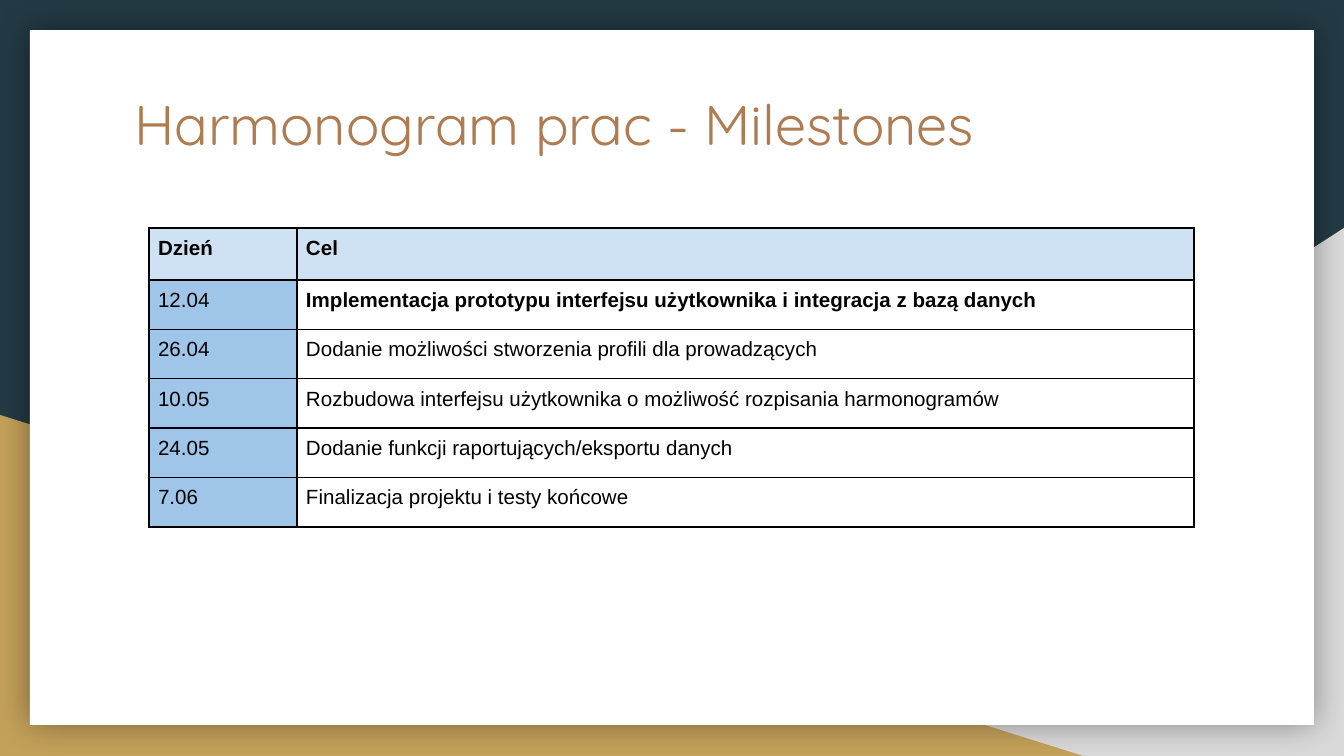
import pptx
import pptx.dml.color
import pptx.enum.shapes
import pptx.enum.text
import pptx.oxml
import pptx.oxml.ns
import pptx.util

# Content
TITLE = "Harmonogram prac - Milestones"
HEADER = ("Dzień", "Cel")
MILESTONES = [
    ("12.04", "Implementacja prototypu interfejsu użytkownika i integracja z bazą danych"),
    ("26.04", "Dodanie możliwości stworzenia profili dla prowadzących"),
    ("10.05", "Rozbudowa interfejsu użytkownika o możliwość rozpisania harmonogramów"),
    ("24.05", "Dodanie funkcji raportujących/eksportu danych"),
    ("7.06", "Finalizacja projektu i testy końcowe"),
]
BOLD_ROWS = {0, 1}

# Layout in px
SCALE = 914400 / 134.4
SLIDE = (1344, 756)
GREY_CORNER = (527, 228, 817, 528)
GOLD_CORNER = (0, 415, 1083, 341)
CARD = (30, 30, 1284, 695)
TITLE_BOX = (121, 77, 1103, 140)
TABLE_LEFT, TABLE_TOP = 149, 228
COLUMNS = (148, 897)
HEADER_HEIGHT, BODY_HEIGHT = 52, 247
TITLE_INSET, CELL_INSET = 13, 9

NAVY, GREY, GOLD, WHITE = "233A44", "D9D9D9", "C4A15A", "FFFFFF"
BROWN, BLACK, HEADER_BLUE, DAY_BLUE = "AF7B51", "000000", "CFE2F3", "9FC5E8"

NAMESPACE = pptx.oxml.ns.nsdecls("a")
SHADOW = (f'<a:outerShdw {NAMESPACE} blurRad="{pptx.util.Pt(18)}" dist="0">'
          f'<a:srgbClr val="{BLACK}"><a:alpha val="40000"/></a:srgbClr></a:outerShdw>')


def px(length):
    return round(length * SCALE)


def paint(fill, color):
    fill.solid()
    fill.fore_color.rgb = pptx.dml.color.RGBColor.from_string(color)


def write(frame, text, size, font, color, bold=False, inset=0):
    frame.word_wrap = True
    frame.margin_left = frame.margin_right = px(inset)
    frame.margin_top = frame.margin_bottom = px(inset)
    span = frame.paragraphs[0].add_run()
    span.text = text
    span.font.size = pptx.util.Pt(size)
    span.font.name = font
    span.font.bold = bold
    paint(span.font.fill, color)


def add_plain_shape(slide, kind, place, color):
    shape = slide.shapes.add_shape(kind, *map(px, place))
    shape.shadow.inherit = False
    paint(shape.fill, color)
    shape.line.fill.background()
    return shape


def add_borders(cell):
    properties = cell._tc.get_or_add_tcPr()
    for position, side in enumerate(("lnL", "lnR", "lnT", "lnB")):
        properties.insert(position, pptx.oxml.parse_xml(
            f'<a:{side} {NAMESPACE} w="{pptx.util.Pt(1)}"><a:solidFill>'
            f'<a:srgbClr val="{BLACK}"/></a:solidFill></a:{side}>'))


def add_background(slide):
    kinds = pptx.enum.shapes.MSO_SHAPE
    paint(slide.background.fill, NAVY)
    corner = add_plain_shape(slide, kinds.RIGHT_TRIANGLE, GREY_CORNER, GREY)
    corner._element.spPr.xfrm.set("flipH", "1")
    add_plain_shape(slide, kinds.RIGHT_TRIANGLE, GOLD_CORNER, GOLD)
    card = add_plain_shape(slide, kinds.RECTANGLE, CARD, WHITE)
    effects = card._element.spPr.find(pptx.oxml.ns.qn("a:effectLst"))
    effects.append(pptx.oxml.parse_xml(SHADOW))


def add_schedule(slide):
    rows = [HEADER, *MILESTONES]
    table = slide.shapes.add_table(
        len(rows), len(COLUMNS), px(TABLE_LEFT), px(TABLE_TOP),
        px(sum(COLUMNS)), px(HEADER_HEIGHT + BODY_HEIGHT)).table
    table.horz_banding = False
    for column, width in zip(table.columns, COLUMNS):
        column.width = px(width)
    for r, row in enumerate(rows):
        table.rows[r].height = px(BODY_HEIGHT / len(MILESTONES) if r else HEADER_HEIGHT)
        for c, text in enumerate(row):
            cell = table.cell(r, c)
            cell.margin_left = cell.margin_right = px(CELL_INSET)
            cell.margin_top = cell.margin_bottom = px(CELL_INSET)
            bold = r in BOLD_ROWS and (r == 0 or c == 1)
            write_cell(cell, text, bold)
            if r == 0:
                paint(cell.fill, HEADER_BLUE)
            elif c == 0:
                paint(cell.fill, DAY_BLUE)
            else:
                cell.fill.background()
            add_borders(cell)


def write_cell(cell, text, bold):
    span = cell.text_frame.paragraphs[0].add_run()
    span.text = text
    span.font.size = pptx.util.Pt(11)
    span.font.name = "Arial"
    span.font.bold = bold
    paint(span.font.fill, BLACK)


def main():
    deck = pptx.Presentation()
    deck.slide_width, deck.slide_height = map(px, SLIDE)
    slide = deck.slides.add_slide(deck.slide_layouts[6])
    add_background(slide)

    # Title
    box = slide.shapes.add_textbox(*map(px, TITLE_BOX))
    box.text_frame.vertical_anchor = pptx.enum.text.MSO_ANCHOR.TOP
    write(box.text_frame, TITLE, size=30, font="Quicksand", color=BROWN, inset=TITLE_INSET)

    # Milestone table
    add_schedule(slide)
    deck.save("out.pptx")


if __name__ == "__main__":
    main()
